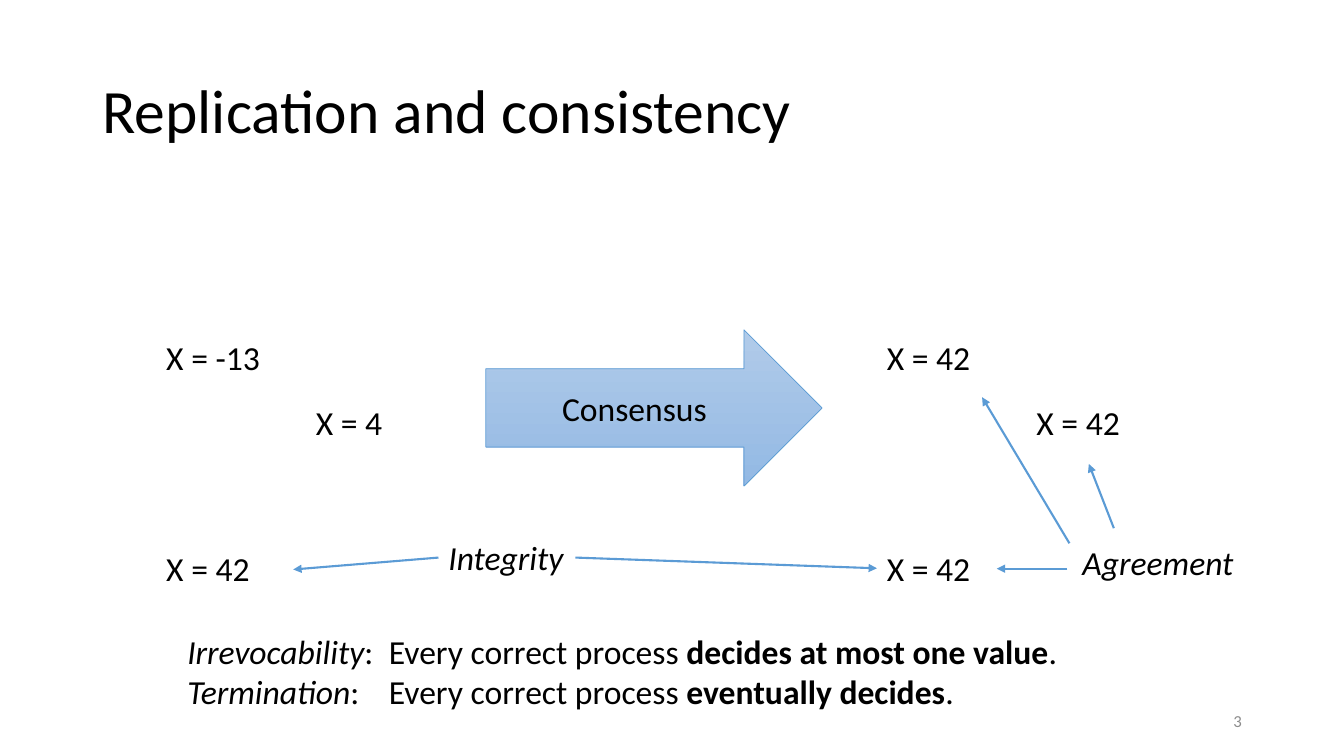
import pptx
import pptx.util
import pptx.dml.color
import pptx.enum.shapes
import pptx.enum.text
import pptx.oxml
import pptx.oxml.ns
import lxml.etree

Cm = pptx.util.Cm
Pt = pptx.util.Pt
ALIGN = pptx.enum.text.PP_ALIGN
ANCHOR = pptx.enum.text.MSO_ANCHOR
COLORS = {"text": "000000", "number": "8C8C8C", "accent": "5B9BD5",
          "arrow_top": "B1CBE9", "arrow_bottom": "93B9E4"}


def rgb(name):
    return pptx.dml.color.RGBColor.from_string(COLORS[name])


def add_xml(parent, tag, **attributes):
    return lxml.etree.SubElement(parent, pptx.oxml.ns.qn(tag), **attributes)


def write(shape, *lines, size=24, color="text", italic=False, align=ALIGN.LEFT,
          anchor=ANCHOR.TOP, wrap=True, spacing=None, tab=None):
    """Fill a shape; each line is a string or a list of (text, style) runs."""
    frame = shape.text_frame
    frame.word_wrap = wrap
    frame.vertical_anchor = anchor
    frame.auto_size = pptx.enum.text.MSO_AUTO_SIZE.NONE
    for index, line in enumerate(lines):
        paragraph = frame.add_paragraph() if index else frame.paragraphs[0]
        if tab:
            tabs = add_xml(paragraph._p.get_or_add_pPr(), "a:tabLst")
            add_xml(tabs, "a:tab", pos=str(int(tab)), algn="l")
        paragraph.alignment = align
        if spacing:
            paragraph.line_spacing = spacing
        for text, style in [(line, "")] if isinstance(line, str) else line:
            run = paragraph.add_run()
            run.text = text
            run.font.name = "Calibri"
            run.font.size = Pt(size)
            run.font.color.rgb = rgb(color)
            run.font.italic = italic or style == "italic"
            run.font.bold = style == "bold"


def add_label(slide, left, top, width, height, *lines, **text_format):
    box = slide.shapes.add_textbox(Cm(left), Cm(top), Cm(width), Cm(height))
    write(box, *lines, **text_format)


def add_title(slide, left, top, width, height):
    title = slide.shapes.title
    title.left, title.top = Cm(left), Cm(top)
    title.width, title.height = Cm(width), Cm(height)
    write(title, "Replication and consistency", size=44,
          anchor=ANCHOR.MIDDLE, spacing=0.9)


def add_replicas(slide, left, top, values):
    """Place the values of three replicas, the second one shifted right."""
    offsets = [(0, 0), (3.77, 1.65), (0, 5.33)]
    widths = {"X = -13": 2.9, "X = 4": 2.21, "X = 42": 2.64}
    for (dx, dy), value in zip(offsets, values):
        add_label(slide, left + dx, top + dy, widths[value], 1.27, value, wrap=False)


def add_consensus(slide, left, top, width, height):
    arrow = slide.shapes.add_shape(pptx.enum.shapes.MSO_SHAPE.RIGHT_ARROW,
                                   Cm(left), Cm(top), Cm(width), Cm(height))
    arrow.shadow.inherit = False
    arrow.fill.gradient()
    arrow.fill.gradient_angle = 270
    for stop, position, color in zip(arrow.fill.gradient_stops, (0, 1),
                                     ("arrow_top", "arrow_bottom")):
        stop.position = position
        stop.color.rgb = rgb(color)
    arrow.line.color.rgb = rgb("accent")
    arrow.line.width = Pt(0.5)
    write(arrow, "Consensus", align=ALIGN.CENTER, anchor=ANCHOR.MIDDLE)


def add_property(slide, left, top, width, name, pointers):
    """Place a property name and its arrows, given relative to its box."""
    add_label(slide, left, top, width, 1.27, name, italic=True, wrap=False)
    for x1, y1, x2, y2 in pointers:
        pointer = slide.shapes.add_connector(
            pptx.enum.shapes.MSO_CONNECTOR.STRAIGHT,
            Cm(left + x1), Cm(top + y1), Cm(left + x2), Cm(top + y2))
        pointer.line.color.rgb = rgb("accent")
        pointer.line.width = Pt(1.5)
        add_xml(pointer.line._get_or_add_ln(), "a:tailEnd", type="triangle")
        add_xml(pointer._element.spPr, "a:effectLst")


def add_definitions(slide, left, top, width, height):
    definitions = [("Irrevocability", "decides at most one value"),
                   ("Termination", "eventually decides")]
    lines = [[(name, "italic"), (":\tEvery correct process ", ""),
              (promise, "bold"), (".", "")] for name, promise in definitions]
    add_label(slide, left, top, width, height, *lines, wrap=False, tab=Cm(5.08))


def main():
    deck = pptx.Presentation()
    deck.slide_width, deck.slide_height = Cm(33.87), Cm(19.05)
    slide = deck.slides.add_slide(deck.slide_layouts.get_by_name("Title Only"))
    add_title(slide, 2.33, 1.01, 29.21, 3.68)
    add_replicas(slide, 3.94, 8.36, ["X = -13", "X = 4", "X = 42"])
    add_consensus(slide, 12.24, 8.31, 8.48, 3.94)
    add_replicas(slide, 22.1, 8.36, ["X = 42"] * 3)
    add_property(slide, 27.03, 13.54, 4.39, "Agreement",
                 [(1.04, -0.23, 0.41, -1.85), (-0.08, 0.15, -2.28, -3.53),
                  (-0.13, 0.79, -1.91, 0.79)])
    add_property(slide, 11.05, 13.41, 3.43, "Integrity",
                 [(3.45, 0.64, 11.05, 0.91), (0, 0.64, -3.66, 0.94)])
    add_definitions(slide, 4.47, 15.77, 22.66, 2.31)
    add_label(slide, 23.93, 17.65, 7.62, 1.01, "3", size=12, color="number",
              align=ALIGN.RIGHT, anchor=ANCHOR.MIDDLE)
    deck.save("out.pptx")


if __name__ == "__main__":
    main()
